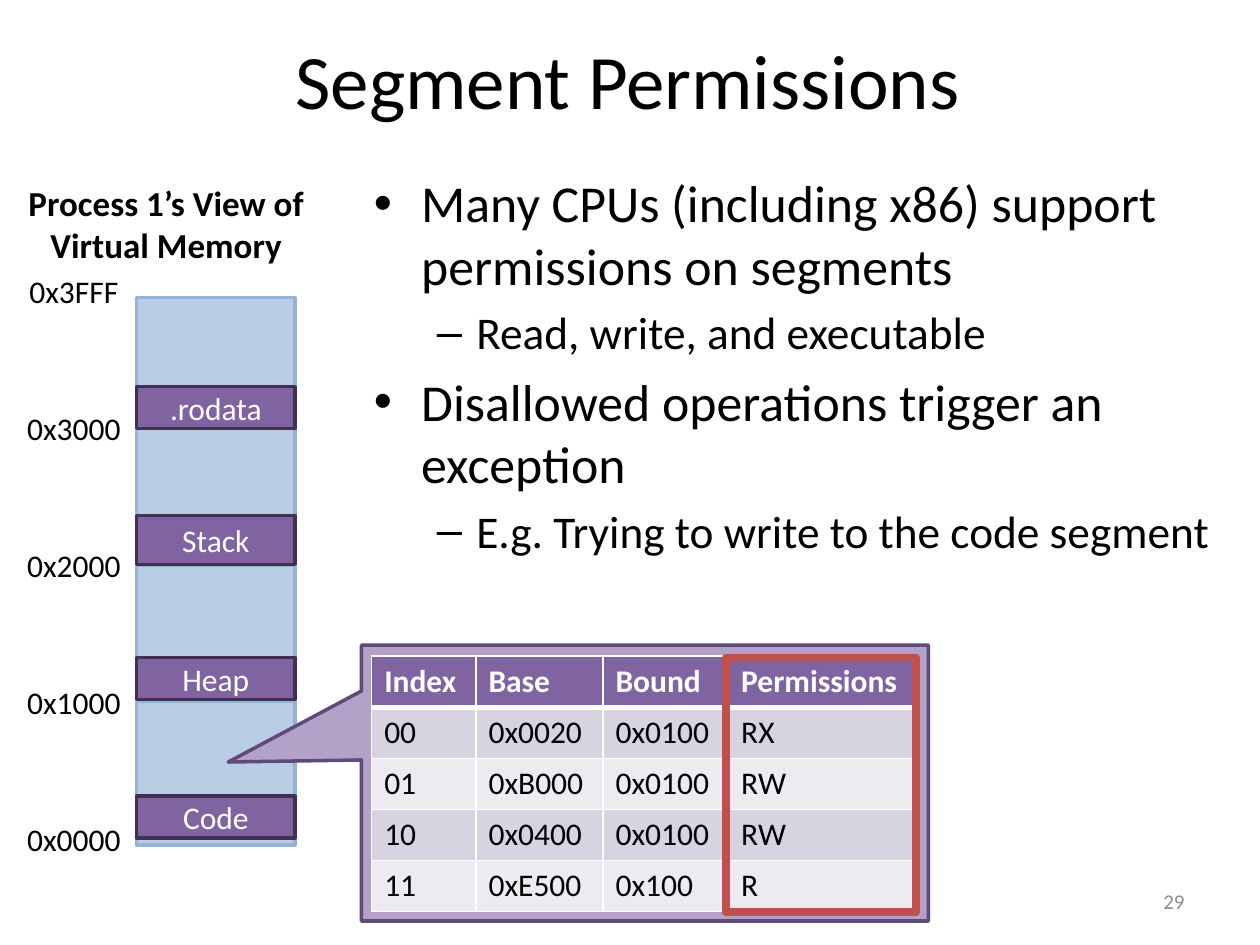
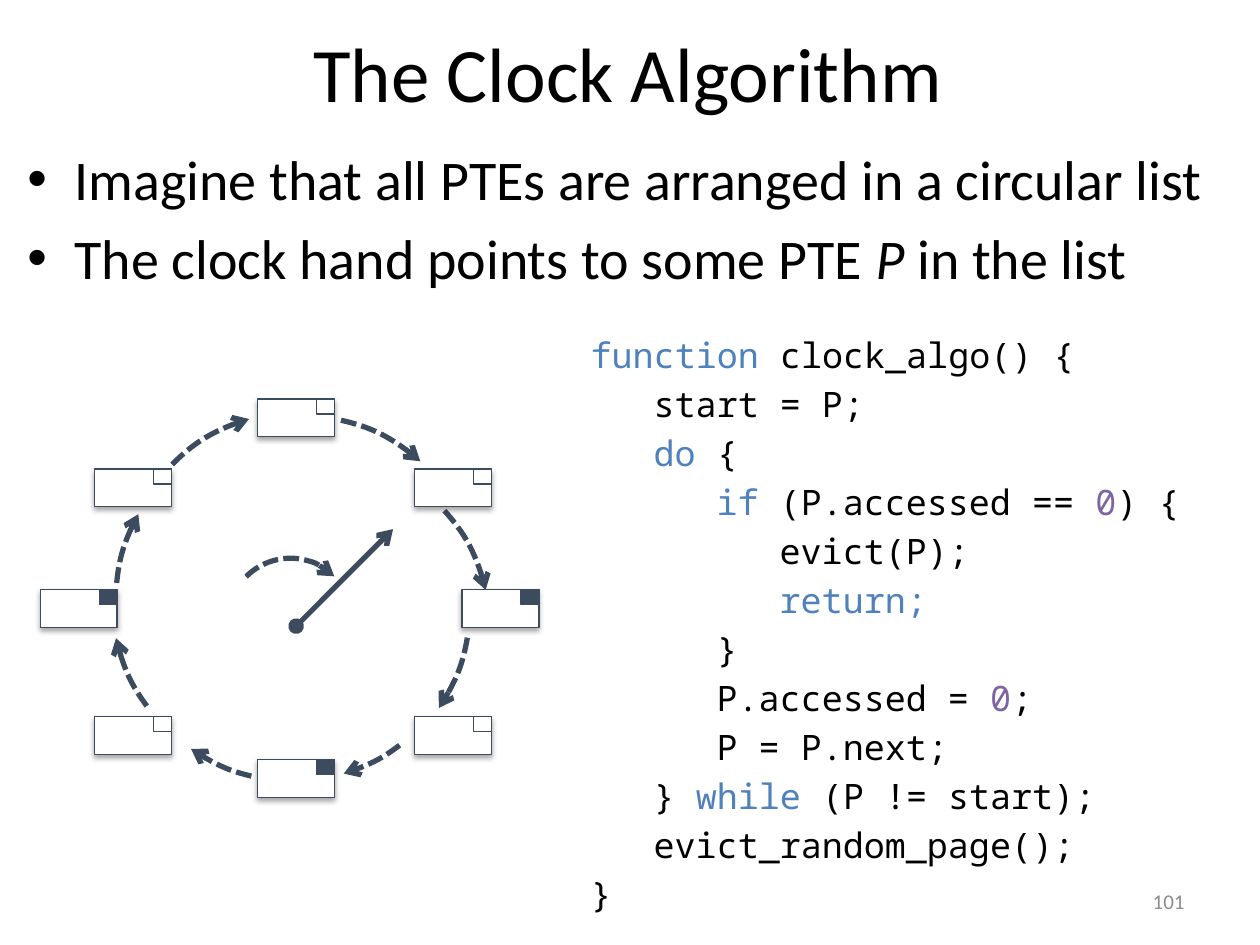
from lxml.etree import SubElement
from pptx import Presentation
from pptx.dml.color import RGBColor
from pptx.enum.shapes import MSO_CONNECTOR, MSO_SHAPE
from pptx.enum.text import MSO_ANCHOR, PP_ALIGN
from pptx.oxml.ns import qn
from pptx.util import Pt

BLACK = RGBColor(0x00, 0x00, 0x00)
WHITE = RGBColor(0xFF, 0xFF, 0xFF)
GRAY = RGBColor(0x8C, 0x8C, 0x8C)
BLUE = RGBColor(0x4F, 0x81, 0xBD)
SKY = RGBColor(0xB9, 0xCD, 0xE5)
SKY_EDGE = RGBColor(0x95, 0xB3, 0xD7)
PURPLE = RGBColor(0x80, 0x64, 0xA2)
PURPLE_EDGE = RGBColor(0x40, 0x31, 0x52)
LILAC = RGBColor(0xB3, 0xA2, 0xC7)
LILAC_EDGE = RGBColor(0x60, 0x4A, 0x7B)
BANDS = (RGBColor(0xD8, 0xD3, 0xE0), RGBColor(0xED, 0xEA, 0xF0))
RED = RGBColor(0xC0, 0x50, 0x4D)
SLATE = RGBColor(0x3C, 0x4B, 0x5E)

SANS = "Calibri"
MONO = "Noto Sans Mono"
HUES = {"function": BLUE, "do": BLUE, "if": BLUE, "return;": BLUE,
        "while": BLUE, "0": PURPLE}

CODE = [
    ["function ", "clock_algo() {"],
    ["\tstart = P;"],
    ["\t", "do", " {"],
    ["\t\t", "if", " (P.accessed == ", "0", ") {"],
    ["\t\t\tevict(P);"],
    ["\t\t\t", "return;"],
    ["\t\t}"],
    ["\t\tP.accessed = ", "0", ";"],
    ["\t\tP = P.next;"],
    ["\t} ", "while", " (P != start);"],
    ["\tevict_random_page();"],
    ["}"],
]

ROWS = [
    ["Index", "Base", "Bound", "Permissions"],
    ["00", "0x0020", "0x0100", "RX"],
    ["01", "0xB000", "0x0100", "RW"],
    ["10", "0x0400", "0x0100", "RW"],
    ["11", "0xE500", "0x100", "R"],
]

CARDS = [(147, 228, False), (237, 268, False), (264, 337, True),
         (237, 409.5, False), (147, 434, True), (54, 409.5, False),
         (23, 337, True), (54, 268, False)]

ARCS = [(64, 242, 228.5, 164.96, 179.53), (69, 235.5, 314.8, 162, 179.53),
        (66.2, 244, 142.9, 162, 174.24), (66.2, 244, 185.9, 166.6, 179.53),
        (66.2, 242, 270, 165.43, 179.53), (66.2, 246.2, 99.7, 162, 176.84),
        (71.3, 237.6, 12.8, 162, 179.53), (77.8, 258.5, 47.9, 162, 179.53)]


def style(run, size, color=BLACK, face=SANS, bold=False):
    font = run.font
    font.name, font.size, font.bold = face, Pt(size), bold
    font.color.rgb = color


def add_box(slide, x, y, w, h):
    box = slide.shapes.add_textbox(Pt(x), Pt(y), Pt(w), Pt(h))
    box.text_frame.word_wrap = True
    return box.text_frame


def add_text(slide, text, x, y, w, h, size, color=BLACK, bold=False,
             align=PP_ALIGN.CENTER, anchor=MSO_ANCHOR.TOP):
    frame = add_box(slide, x, y, w, h)
    frame.text = text
    frame.vertical_anchor = anchor
    for para in frame.paragraphs:
        para.alignment = align
        for run in para.runs:
            style(run, size, color, bold=bold)
    return frame


def add_base(deck, title, height, number):
    slide = deck.slides.add_slide(deck.slide_layouts[6])
    add_text(slide, title, 3.6, 0, 710.6, height, 44, anchor=MSO_ANCHOR.MIDDLE)
    add_text(slide, number, 516, 500.5, 168, 28.8, 12, GRAY,
             align=PP_ALIGN.RIGHT, anchor=MSO_ANCHOR.MIDDLE)
    return slide


def next_para(frame, index, size):
    para = frame.add_paragraph() if index else frame.paragraphs[0]
    para.space_before = Pt(size * 0.2 if index else 0)
    return para


def add_points(slide, items, x, y, w, h, sizes):
    frame = add_box(slide, x, y, w, h)
    for index, (level, parts) in enumerate(items):
        size = sizes[level]
        para = next_para(frame, index, size)
        para.level = level
        left, hang, mark = ((27, 27, "•"), (58.5, 22.5, "–"))[level]
        props = para._p.get_or_add_pPr()
        props.set("marL", str(Pt(left)))
        props.set("indent", str(-Pt(hang)))
        SubElement(props, qn("a:buFont"), typeface="Arial")
        SubElement(props, qn("a:buChar"), char=mark)
        for part in parts:
            run = para.add_run()
            run.text = part
            style(run, size)
            run.font.italic = part == "P "


def add_code(slide, lines, x, y, w, h):
    frame = add_box(slide, x, y, w, h)
    for index, parts in enumerate(lines):
        para = next_para(frame, index, 20)
        para.line_spacing = Pt(24)
        tabs = SubElement(para._p.get_or_add_pPr(), qn("a:tabLst"))
        for stop in (36, 72, 108):
            SubElement(tabs, qn("a:tab"), pos=str(Pt(stop)), algn="l")
        for part in parts:
            run = para.add_run()
            run.text = part
            style(run, 20, HUES.get(part.strip(), BLACK), MONO)


def add_shape(slide, kind, x, y, w, h, fill, edge, width):
    shape = slide.shapes.add_shape(kind, Pt(x), Pt(y), Pt(w), Pt(h))
    shape.shadow.inherit = False
    if fill is None:
        shape.fill.background()
    else:
        shape.fill.solid()
        shape.fill.fore_color.rgb = fill
    shape.line.color.rgb = edge
    shape.line.width = Pt(width)
    return shape


def add_rect(slide, *args):
    return add_shape(slide, MSO_SHAPE.RECTANGLE, *args)


def add_block(slide, text, y, h):
    block = add_rect(slide, 78, y, 90.7, h, PURPLE, PURPLE_EDGE, 2)
    frame = block.text_frame
    frame.text = text
    frame.vertical_anchor = MSO_ANCHOR.MIDDLE
    para = frame.paragraphs[0]
    para.alignment = PP_ALIGN.CENTER
    style(para.runs[0], 18, WHITE)


def add_edge(props, side, width):
    edge = SubElement(props, qn(f"a:{side}"), w=str(Pt(width)))
    fill = SubElement(edge, qn("a:solidFill"))
    SubElement(fill, qn("a:srgbClr"), val=str(WHITE))


def add_grid(slide, rows, x, y, widths, height):
    grid = slide.shapes.add_table(
        len(rows), len(widths), Pt(x), Pt(y), Pt(sum(widths)),
        Pt(height * len(rows))).table
    for column, width in zip(grid.columns, widths):
        column.width = Pt(width)
    for r, row in enumerate(rows):
        grid.rows[r].height = Pt(height)
        for c, text in enumerate(row):
            cell = grid.cell(r, c)
            cell.text = text
            style(cell.text_frame.paragraphs[0].runs[0], 18,
                  BLACK if r else WHITE, bold=r == 0)
            props = cell._tc.get_or_add_tcPr()
            add_edge(props, "lnL", 1)
            add_edge(props, "lnR", 1)
            add_edge(props, "lnT", 3 if r == 1 else 1)
            add_edge(props, "lnB", 1 if r else 3)
            cell.fill.solid()
            cell.fill.fore_color.rgb = BANDS[(r - 1) % 2] if r else PURPLE


def add_ends(shape, head=None, dash=None):
    line = shape._element.spPr.find(qn("a:ln"))
    if dash:
        SubElement(line, qn("a:prstDash"), val=dash)
    if head:
        SubElement(line, qn("a:headEnd"), type=head)
    SubElement(line, qn("a:tailEnd"), type="arrow")


def add_arc(slide, x, y, size, turn, start, end):
    arc = add_shape(slide, MSO_SHAPE.ARC, x, y, size, size, None, SLATE, 3)
    arc.adjustments[0] = start
    arc.adjustments[1] = end
    arc.rotation = turn
    add_ends(arc, dash="sysDash")


def add_card(slide, x, y, used):
    card = add_rect(slide, x, y, 44, 21.6, WHITE, SLATE, 0.75)
    effects = card._element.spPr.find(qn("a:effectLst"))
    shade = SubElement(effects, qn("a:outerShdw"), blurRad=str(Pt(3.1)),
                       dist=str(Pt(1.8)), dir="5400000", rotWithShape="0")
    color = SubElement(shade, qn("a:srgbClr"), val=str(BLACK))
    SubElement(color, qn("a:alpha"), val="35000")
    add_rect(slide, x + 33.8, y, 10.2, 8.6, SLATE if used else WHITE,
             SLATE, 0.75)


def add_hand(slide, x1, y1, x2, y2):
    hand = slide.shapes.add_connector(
        MSO_CONNECTOR.STRAIGHT, Pt(x1), Pt(y1), Pt(x2), Pt(y2))
    hand.line.color.rgb = SLATE
    hand.line.width = Pt(3)
    add_ends(hand, head="oval")
    SubElement(hand._element.spPr, qn("a:effectLst"))


def draw_rights(deck):
    slide = add_base(deck, "Segment Permissions", 90, "29")
    add_points(slide, [
        (0, ["Many CPUs (including x86) support permissions on segments"]),
        (1, ["Read, write, and executable"]),
        (0, ["Disallowed operations trigger an exception"]),
        (1, ["E.g. Trying to write to the code segment"]),
    ], 206.6, 94.3, 498.2, 252, (29.6, 25.9))

    add_text(slide, "Process 1’s View of\nVirtual Memory", 5, 100, 180, 55.4,
             20, bold=True)
    marks = ("0x3FFF", "0x3000", "0x2000", "0x1000", "0x0000")
    for index, mark in enumerate(marks):
        label = add_text(slide, mark, 8, 152 + 78.3 * index, 68.4, 28.8, 18)
        label.word_wrap = False

    edges = (170, 245, 323, 400.5, 483)
    for top, end in zip(edges, edges[1:]):
        add_rect(slide, 78, top, 90.7, end - top, SKY, SKY_EDGE, 2)
    for name, top, height in ((".rodata", 221, 24), ("Stack", 294.5, 28),
                              ("Heap", 375.8, 24), ("Code", 455, 24)):
        add_block(slide, name, top, height)

    note = add_shape(slide, MSO_SHAPE.RECTANGULAR_CALLOUT, 206.6, 368.6, 324,
                     157.7, LILAC, LILAC_EDGE, 2)
    note.adjustments[0] = -0.735
    note.adjustments[1] = -0.076
    add_grid(slide, ROWS, 212.4, 375, (59.6, 72.6, 71.8, 107.2), 29.2)
    add_rect(slide, 414.7, 375.8, 108.8, 145.4, None, RED, 4.5)


def draw_clock(deck):
    slide = add_base(deck, "The Clock Algorithm", 82, "101")
    add_points(slide, [
        (0, ["Imagine that all PTEs are arranged in a circular list"]),
        (0, ["The clock hand points to some PTE ", "P ", "in the list"]),
    ], 8.6, 79.2, 693.4, 107.3, (32,))
    for x, y, turn, start, end in ARCS:
        add_arc(slide, x, y, 202.3, turn, start, end)
    for card in CARDS:
        add_card(slide, *card)
    add_hand(slide, 169.2, 357.8, 224.6, 302.4)
    add_arc(slide, 130.3, 319, 71.3, 314.8, 162, 0)
    add_code(slide, CODE, 330.5, 187, 377.3, 347.8)


def main():
    deck = Presentation()
    deck.slide_width, deck.slide_height = Pt(720), Pt(540)
    draw_rights(deck)
    draw_clock(deck)
    deck.save("out.pptx")


if __name__ == "__main__":
    main()
